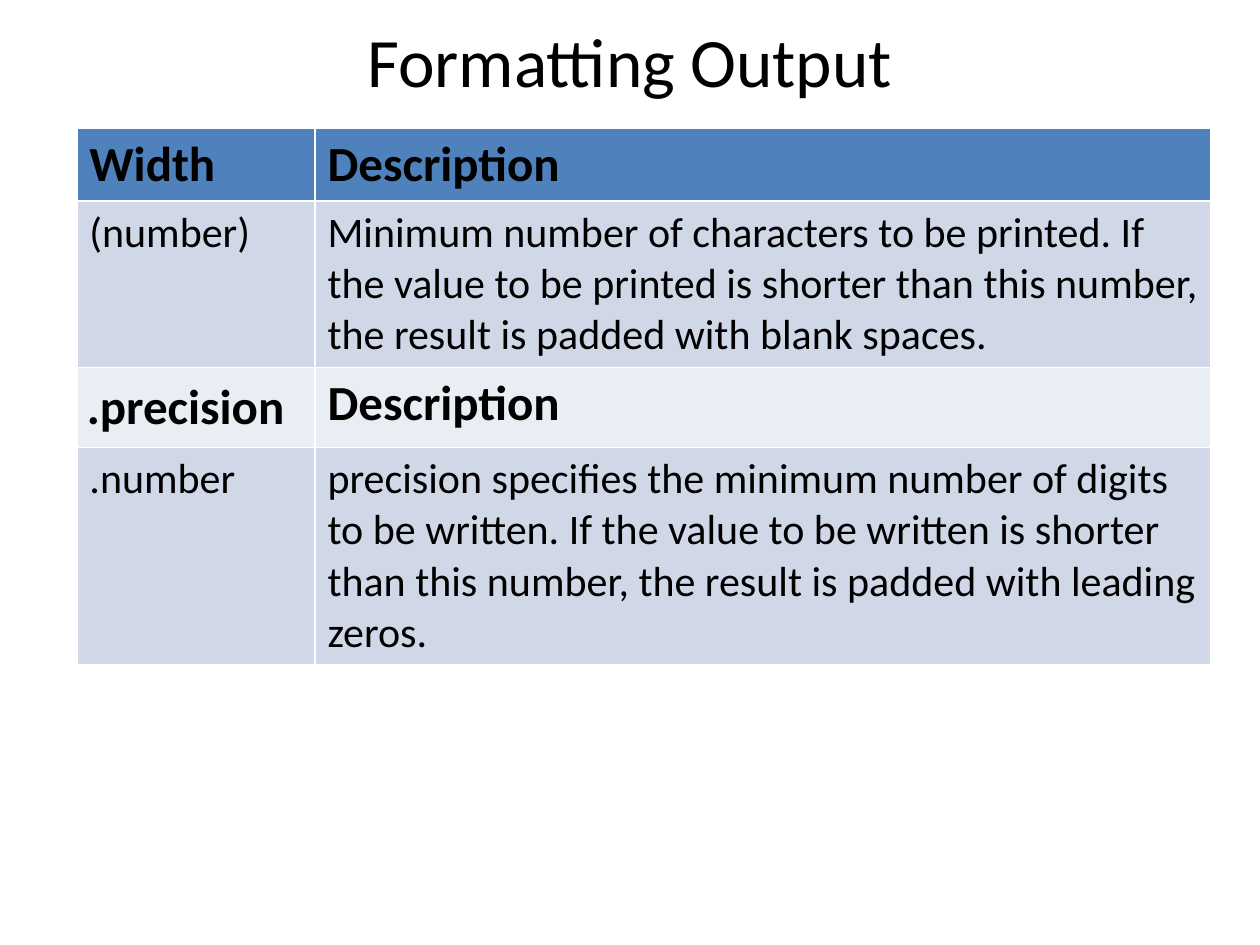
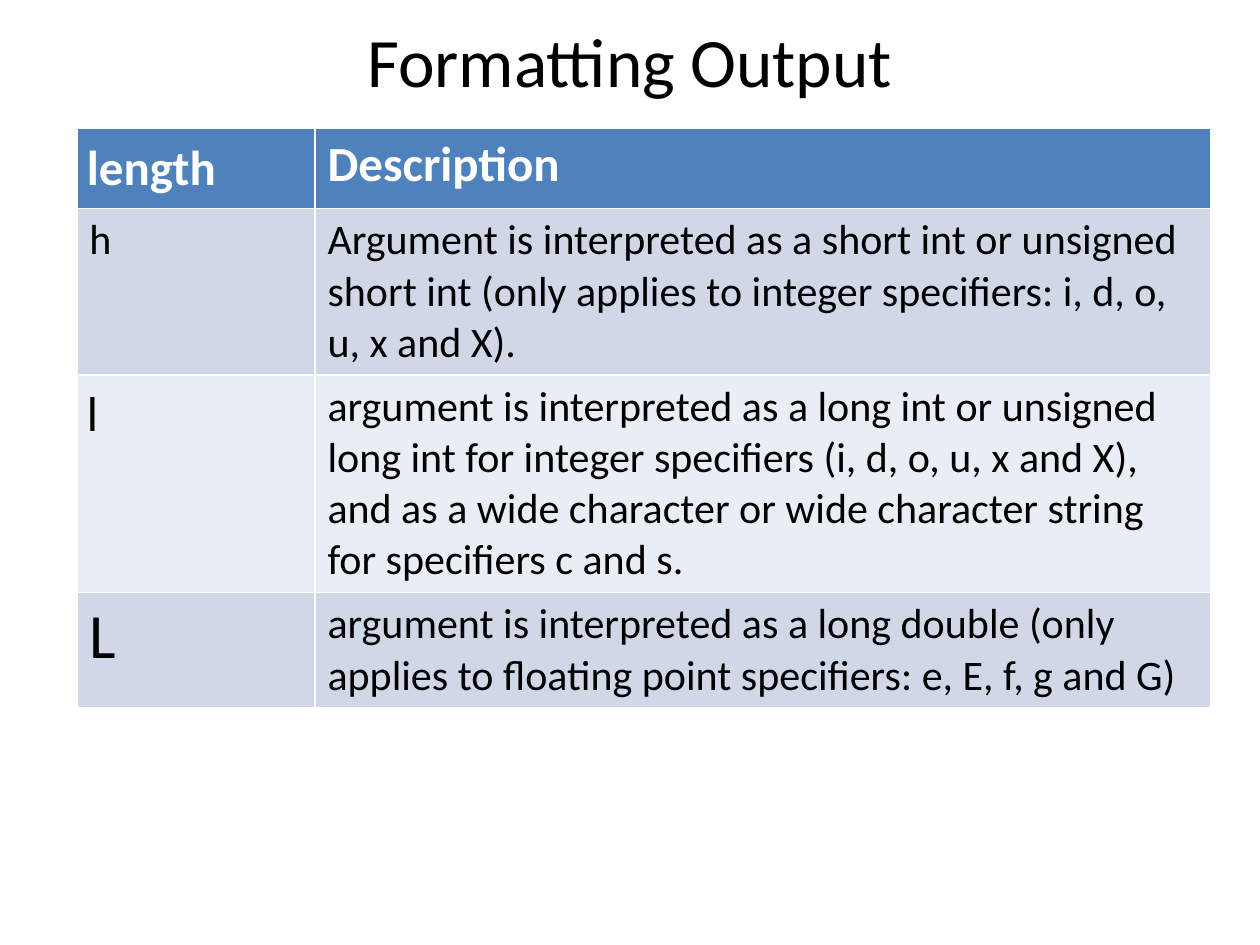
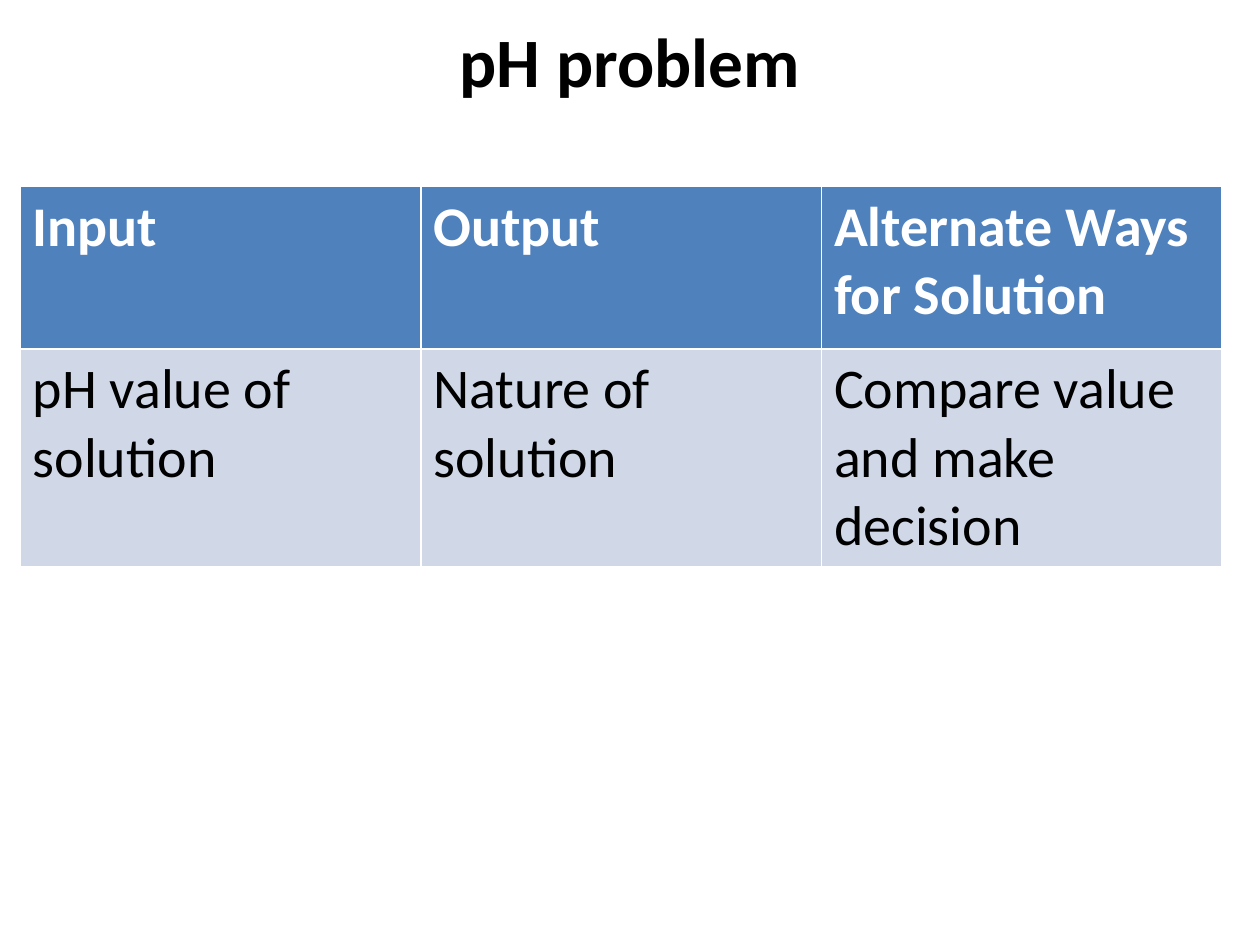
from dataclasses import dataclass
from pptx import Presentation
from pptx.dml.color import RGBColor
from pptx.enum import text
from pptx.util import Inches, Pt


class Theme:
    font = "Calibri"
    black = RGBColor.from_string("000000")
    white = RGBColor.from_string("FFFFFF")
    header = RGBColor.from_string("4F81BD")
    bands = (RGBColor.from_string("D0D8E8"), RGBColor.from_string("E9EDF4"))
    title_size = 39.6
    body_size = 24
    heading_size = 28
    large_size = 32
    symbol_size = 36


@dataclass
class Entry:
    words: str
    size: float = Theme.body_size
    bold: bool = False
    color: RGBColor = Theme.black
    padded: bool = False


def heading(words, color=Theme.white, size=Theme.heading_size, padded=False):
    return Entry(words, size, True, color, padded)


FORMAT_GRID = {
    "place": (0.61, 1.02, 9),
    "columns": (1.89, 7.11),
}
SLIDES = [
    {
        "title": "Formatting Output",
        **FORMAT_GRID,
        "height": 4.2,
        "row_heights": (0.41,) * 4,
        "rows": [
            (heading("Width", Theme.black), heading("Description", Theme.black)),
            (Entry("(number)"),
             Entry("Minimum number of characters to be printed. If the value to be "
                   "printed is shorter than this number, the result is padded with "
                   "blank spaces.")),
            (heading(".precision", Theme.black, padded=True),
             heading("Description", Theme.black)),
            (Entry(".number"),
             Entry("precision specifies the minimum number of digits to be written. "
                   "If the value to be written is shorter than this number, the "
                   "result is padded with leading zeros.")),
        ],
    },
    {
        "title": "Formatting Output",
        **FORMAT_GRID,
        "height": 4.53,
        "row_heights": (0.41,) * 4,
        "rows": [
            (heading("length", padded=True), heading("Description")),
            (Entry("h"),
             Entry("Argument is interpreted as a short int or unsigned short int "
                   "(only applies to integer specifiers: i, d, o, u, x and X).")),
            (Entry("l", Theme.heading_size, padded=True),
             Entry("argument is interpreted as a long int or unsigned long int for "
                   "integer specifiers (i, d, o, u, x and X), and as a wide character "
                   "or wide character string for specifiers c and s.")),
            (Entry("L", Theme.symbol_size),
             Entry("argument is interpreted as a long double (only applies to "
                   "floating point specifiers: e, E, f, g and G)")),
        ],
    },
    {
        "title": "pH problem",
        "title_bold": True,
        "place": (0.16, 1.48, 9.53),
        "columns": (3.18,) * 3,
        "height": 2.99,
        "row_heights": (1.29, 0.75),
        "rows": [
            [heading(words, size=Theme.large_size)
             for words in ("Input", "Output", "Alternate Ways for Solution")],
            [Entry(words, Theme.large_size)
             for words in ("pH value of solution", "Nature of solution",
                           "Compare value and make decision")],
        ],
    },
]


def style(frame, size, bold, color):
    for para in frame.paragraphs:
        for span in para.runs:
            span.font.name = Theme.font
            span.font.size = Pt(size)
            span.font.bold = bold
            span.font.color.rgb = color


def set_title(page, words, bold):
    title = page.shapes.title
    title.left, title.top, title.width, title.height = map(Inches, (0.5, 0.08, 9, 0.79))
    frame = title.text_frame
    frame.text = words
    frame.auto_size = text.MSO_AUTO_SIZE.NONE
    frame.vertical_anchor = text.MSO_ANCHOR.MIDDLE
    frame.paragraphs[0].alignment = text.PP_ALIGN.CENTER
    style(frame, Theme.title_size, bold, Theme.black)


def fill_cell(cell, entry, color):
    cell.text_frame.text = entry.words
    style(cell.text_frame, entry.size, entry.bold, entry.color)
    cell.fill.solid()
    cell.fill.fore_color.rgb = color
    if entry.padded:
        cell.margin_left = cell.margin_right = Inches(0.08)
        cell.margin_top = cell.margin_bottom = Inches(0.08)


def add_grid(page, content):
    rows, columns = content["rows"], content["columns"]
    left, top, width = map(Inches, content["place"])
    height = Inches(content["height"])
    box = page.shapes.add_table(len(rows), len(columns), left, top, width, height)
    table = box.table
    for column, size in zip(table.columns, columns):
        column.width = Inches(size)
    for row, size in zip(table.rows, content["row_heights"]):
        row.height = Inches(size)
    box.height = height
    for index, entries in enumerate(rows):
        color = Theme.bands[(index - 1) % 2] if index else Theme.header
        for cell, entry in zip(table.rows[index].cells, entries):
            fill_cell(cell, entry, color)


def main():
    deck = Presentation()
    deck.slide_width, deck.slide_height = Inches(10), Inches(7.5)
    for content in SLIDES:
        page = deck.slides.add_slide(deck.slide_layouts[5])
        set_title(page, content["title"], content.get("title_bold", False))
        add_grid(page, content)
    deck.save("out.pptx")


if __name__ == "__main__":
    main()
